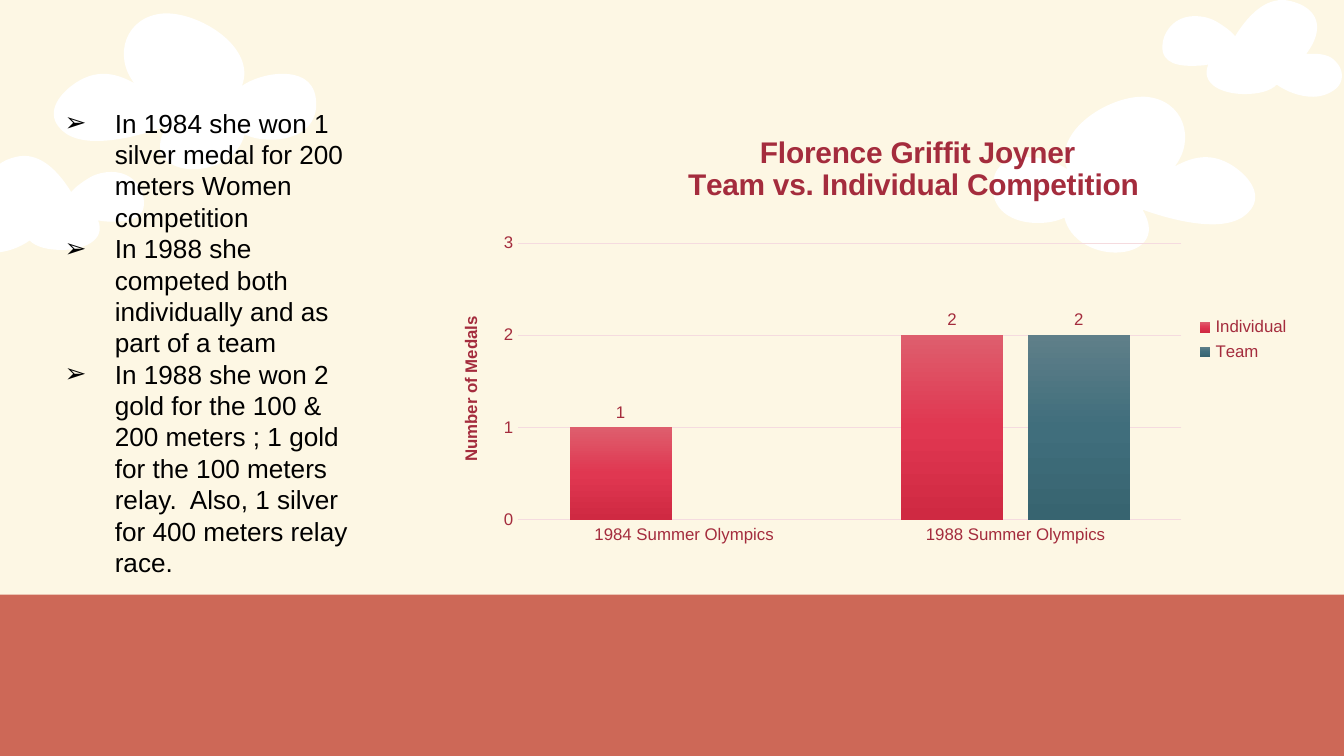
from lxml import etree
from pptx import Presentation
from pptx.chart.data import CategoryChartData
from pptx.dml.color import RGBColor
from pptx.enum.chart import XL_CHART_TYPE, XL_LABEL_POSITION, XL_LEGEND_POSITION, XL_TICK_MARK
from pptx.enum.shapes import MSO_SHAPE
from pptx.oxml import parse_xml
from pptx.oxml.ns import nsdecls, qn
from pptx.util import Cm, Pt

FONT = "Arial"
CRIMSON = "A42C3D"
PALE_PINK = "F5DBDF"

# Outlines in hundredths of an inch: a start, then cubic curves of three points each.
SMALL_CLOUD = [
    (18, 116), (33, 116), (45, 130), (53, 143), (56, 139), (62, 135), (67, 132),
    (72, 129), (78, 128), (83, 128), (93, 128), (102, 133), (106, 144),
    (111, 161), (99, 165), (86, 165), (82, 165), (77, 165), (73, 164),
    (79, 179), (62, 186), (46, 186), (36, 186), (27, 184), (22, 179),
    (15, 184), (5, 188), (-5, 188), (-11, 188), (-17, 186), (-22, 182),
    (-28, 177), (-28, 168), (-22, 162), (-18, 157), (-11, 156), (-5, 156),
    (-3, 156), (-1, 156), (0, 156), (-10, 143), (-13, 127), (5, 119),
    (10, 117), (14, 116), (18, 116),
]
LARGE_CLOUD = [
    (124, 10), (150, 10), (191, 36), (180, 64), (187, 59), (199, 55), (210, 55),
    (222, 55), (233, 59), (235, 73), (238, 95), (220, 104), (202, 104),
    (195, 104), (188, 103), (182, 100), (178, 117), (160, 126), (144, 126),
    (126, 126), (111, 115), (124, 94), (113, 98), (91, 105), (72, 105),
    (58, 105), (46, 101), (41, 90), (36, 77), (51, 64), (61, 59),
    (67, 56), (72, 55), (77, 55), (85, 55), (93, 58), (100, 62),
    (84, 42), (93, 12), (122, 10), (122, 10), (123, 10), (124, 10),
]
FACTS = [
    "In 1984 she won 1 silver medal for 200 meters Women competition",
    "In 1988 she competed both individually and as part of a team ",
    "In 1988 she won 2 gold for the 100 & 200 meters ; 1 gold for the 100 meters relay.  "
    "Also, 1 silver for 400 meters relay race.",
]
MEDALS = [
    ("Individual", (1, 2), ("DE5E6D", "E03751", "CF2942")),
    ("Team", (None, 2), ("5F7F89", "406E7C", "376470")),
]


def color(value):
    return RGBColor.from_string(value)


def style_font(font, size, value, bold=False):
    font.name = FONT
    font.size = Pt(size)
    font.bold = bold
    font.color.rgb = color(value)


def paint(shape, value):
    shape.shadow.inherit = False
    shape.fill.solid()
    shape.fill.fore_color.rgb = color(value)
    shape.line.fill.background()


def bend_edges(shape):
    edges = list(shape._element.iter(qn("a:lnTo")))
    for start in range(0, len(edges), 3):
        curve = etree.Element(qn("a:cubicBezTo"))
        edges[start].addprevious(curve)
        for edge in edges[start:start + 3]:
            curve.append(edge[0])
            edge.getparent().remove(edge)


def add_cloud(slide, outline, mirror_sum=None, shift=0):
    points = outline
    if mirror_sum is not None:
        points = [(mirror_sum - x, y + shift) for x, y in outline]
    builder = slide.shapes.build_freeform(*points[0], scale=Cm(2.54) / 100)
    builder.add_line_segments(points[1:], close=True)
    cloud = builder.convert_to_shape()
    bend_edges(cloud)
    paint(cloud, "FFFFFF")


def add_facts(slide):
    frame = slide.shapes.add_textbox(Cm(0.97), Cm(1.9), Cm(6.02), Cm(9.25)).text_frame
    frame.word_wrap = True
    frame.text = "\n".join(FACTS)
    for paragraph in frame.paragraphs:
        style_font(paragraph.runs[0].font, 14, "000000")
        properties = paragraph._p.get_or_add_pPr()
        properties.set("marL", str(Cm(0.95)))
        properties.set("indent", str(-Cm(0.95)))
        bullet_color = etree.SubElement(properties, qn("a:buClr"))
        etree.SubElement(bullet_color, qn("a:srgbClr")).set("val", "000000")
        etree.SubElement(properties, qn("a:buFont")).set("typeface", FONT)
        etree.SubElement(properties, qn("a:buChar")).set("char", "➢")


def fill_gradient(series, stops):
    stop_xml = "".join(f'<a:gs pos="{i * 50000}"><a:srgbClr val="{stop}"/></a:gs>'
                       for i, stop in enumerate(stops))
    series._element.get_or_add_spPr().insert(0, parse_xml(
        f'<a:gradFill {nsdecls("a")} rotWithShape="1"><a:gsLst>{stop_xml}</a:gsLst>'
        '<a:lin ang="5400000" scaled="0"/></a:gradFill>'))


def set_layout(parent, position, **values):
    for old in parent.findall(qn("c:layout")):
        parent.remove(old)
    target = '<c:layoutTarget val="inner"/>' if "w" in values else ""
    modes = "".join(f'<c:{key}Mode val="edge"/>' for key in "xy")
    sizes = "".join(f'<c:{key} val="{value}"/>' for key, value in values.items())
    parent.insert(position, parse_xml(
        f'<c:layout {nsdecls("c")}><c:manualLayout>{target}{modes}{sizes}'
        '</c:manualLayout></c:layout>'))


def set_title(owner, text, size):
    owner.has_title = True
    title = getattr(owner, "chart_title", None) or owner.axis_title
    title.text_frame.text = text
    for paragraph in title.text_frame.paragraphs:
        style_font(paragraph.runs[0].font, size, CRIMSON, bold=True)
    return title


def style_axes(chart):
    categories, medals = chart.category_axis, chart.value_axis
    for axis in (categories, medals):
        axis.major_tick_mark = axis.minor_tick_mark = XL_TICK_MARK.NONE
        style_font(axis.tick_labels.font, 9, CRIMSON)
    medals.minimum_scale, medals.maximum_scale, medals.major_unit = 0, 3, 1
    medals.format.line.fill.background()
    for line in (categories.format.line, medals.major_gridlines.format.line):
        line.color.rgb = color(PALE_PINK)
        line.width = Pt(0.75)


def add_medal_chart(slide):
    data = CategoryChartData()
    data.categories = ["1984 Summer Olympics", "1988 Summer Olympics"]
    for name, values, _ in MEDALS:
        data.add_series(name, values)
    chart = slide.shapes.add_chart(XL_CHART_TYPE.COLUMN_CLUSTERED, Cm(8.15), Cm(2.46),
                                   Cm(16.48), Cm(7.92), data).chart
    style_font(chart.font, 10, "17253A")
    style_axes(chart)
    title = set_title(chart, "Florence Griffit Joyner\nTeam vs. Individual Competition ", 16)
    title.include_in_layout = False
    set_layout(title._element, 1, x=0.29, y=0)
    set_title(chart.value_axis, "Number of Medals", 9)
    set_layout(chart._chartSpace.chart.plotArea, 0, x=0.1, y=0.27, w=0.76, h=0.66)
    chart.has_legend = True
    chart.legend.position = XL_LEGEND_POSITION.RIGHT
    chart.legend.include_in_layout = False
    style_font(chart.legend.font, 9, CRIMSON)
    plot = chart.plots[0]
    plot.gap_width, plot.overlap, plot.vary_by_categories = 100, -24, False
    for series, (_, _, stops) in zip(plot.series, MEDALS):
        fill_gradient(series, stops)
        labels = series.data_labels
        labels.show_value = True
        labels.position = XL_LABEL_POSITION.OUTSIDE_END
        style_font(labels.font, 9, CRIMSON)


def main():
    deck = Presentation()
    deck.slide_width, deck.slide_height = Cm(25.4), Cm(14.29)
    slide = deck.slides.add_slide(deck.slide_layouts[6])
    slide.background.fill.solid()
    slide.background.fill.fore_color.rgb = color("FDF7E4")
    ground = slide.shapes.add_shape(MSO_SHAPE.RECTANGLE, Cm(-0.08), Cm(11.24),
                                    Cm(25.56), Cm(3.2))
    paint(ground, "CD6857")
    for outline, mirror_sum, shift in ((SMALL_CLOUD, 972, -116), (LARGE_CLOUD, 974, 62)):
        add_cloud(slide, outline)
        add_cloud(slide, outline, mirror_sum, shift)
    add_facts(slide)
    add_medal_chart(slide)
    deck.save("out.pptx")


main()
